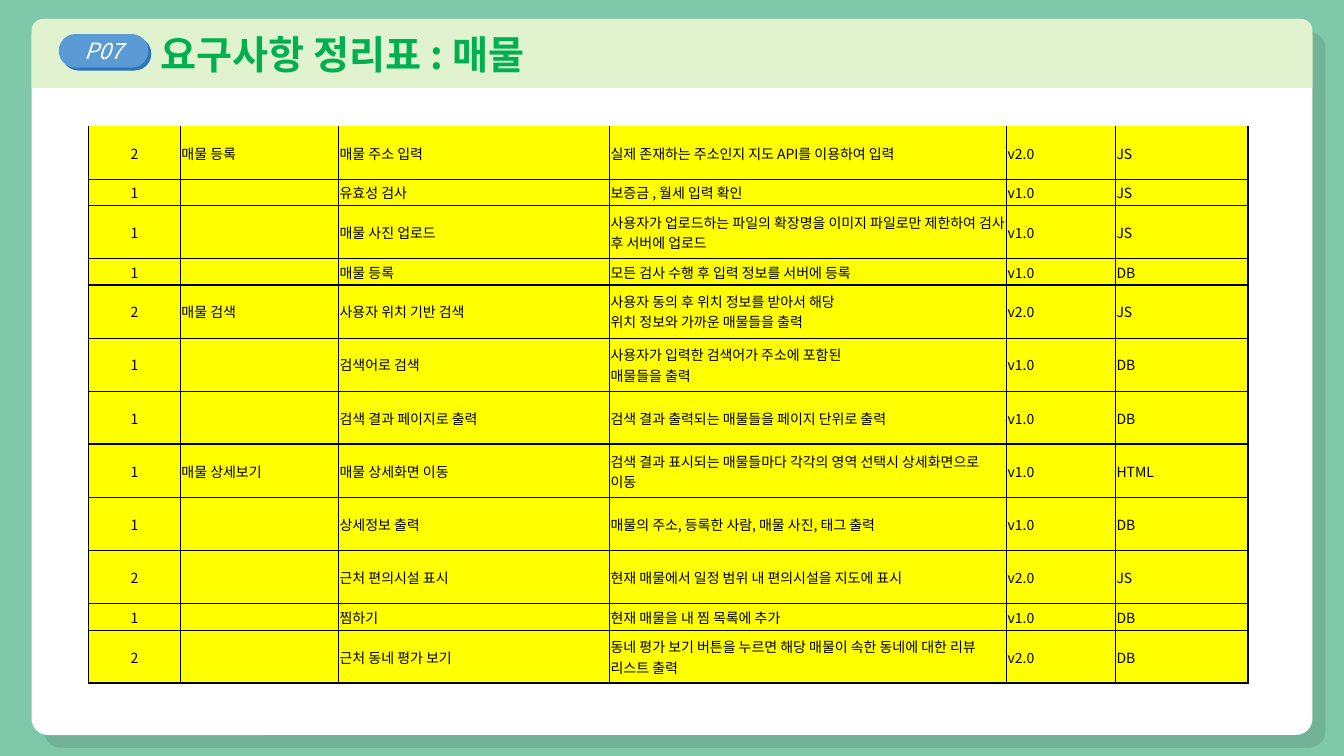
from lxml import etree
from pptx import Presentation
from pptx.dml.color import RGBColor
from pptx.enum.shapes import MSO_SHAPE
from pptx.enum.text import MSO_ANCHOR, MSO_AUTO_SIZE, PP_ALIGN
from pptx.oxml.ns import qn
from pptx.util import Pt

ROUNDED, ROUNDED_TOP = MSO_SHAPE.ROUNDED_RECTANGLE, MSO_SHAPE.ROUND_2_SAME_RECTANGLE
MIDDLE = MSO_ANCHOR.MIDDLE
NO_AUTOFIT = MSO_AUTO_SIZE.NONE
LEFT, CENTER = PP_ALIGN.LEFT, PP_ALIGN.CENTER

FONT = "Noto Sans CJK KR"
BLACK, WHITE, YELLOW = "000000", "FFFFFF", "FFFF00"
THIN, MEDIUM, THICK = 0.5, 1, 1.5

COLUMN_WIDTHS = [65.6, 113, 193.6, 283.6, 77.8, 94.4]
TALL, SHORT = 38, 18.7
# Each group of requirements: name, then (priority, feature, detail, version, technology, row height)
REQUIREMENT_GROUPS = [
    ("매물 등록", [
        ("2", "매물 주소 입력", "실제 존재하는 주소인지 지도 API를 이용하여 입력", "v2.0", "JS", TALL),
        ("1", "유효성 검사", "보증금 , 월세 입력 확인", "v1.0", "JS", SHORT),
        ("1", "매물 사진 업로드",
         "사용자가 업로드하는 파일의 확장명을 이미지 파일로만 제한하여 검사 후 서버에 업로드",
         "v1.0", "JS", TALL),
        ("1", "매물 등록", "모든 검사 수행 후 입력 정보를 서버에 등록", "v1.0", "DB", SHORT),
    ]),
    ("매물 검색", [
        ("2", "사용자 위치 기반 검색",
         "사용자 동의 후 위치 정보를 받아서 해당\n위치 정보와 가까운 매물들을 출력", "v2.0", "JS", TALL),
        ("1", "검색어로 검색",
         "사용자가 입력한 검색어가 주소에 포함된\n매물들을 출력", "v1.0", "DB", TALL),
        ("1", "검색 결과 페이지로 출력", "검색 결과 출력되는 매물들을 페이지 단위로 출력",
         "v1.0", "DB", TALL),
    ]),
    ("매물 상세보기", [
        ("1", "매물 상세화면 이동",
         "검색 결과 표시되는 매물들마다 각각의 영역 선택시 상세화면으로 이동",
         "v1.0", "HTML", TALL),
        ("1", "상세정보 출력", "매물의 주소, 등록한 사람, 매물 사진, 태그 출력", "v1.0", "DB", TALL),
        ("2", "근처 편의시설 표시", "현재 매물에서 일정 범위 내 편의시설을 지도에 표시",
         "v2.0", "JS", TALL),
        ("1", "찜하기", "현재 매물을 내 찜 목록에 추가", "v1.0", "DB", SHORT),
        ("2", "근처 동네 평가 보기",
         "동네 평가 보기 버튼을 누르면 해당 매물이 속한 동네에 대한 리뷰 리스트 출력",
         "v2.0", "DB", TALL),
    ]),
]


def color(value):
    return RGBColor.from_string(value)


def set_attributes(target, values):
    for name, value in values.items():
        setattr(target, name, value)


def write_text(paragraph, text, size, text_color, alignment=LEFT, **font_values):
    paragraph.text = text
    paragraph.alignment = alignment
    for run in paragraph.runs:
        set_attributes(run.font, {"size": Pt(size), "name": FONT, **font_values})
        run.font.color.rgb = color(text_color)
        etree.SubElement(run.font._element, qn("a:ea"), typeface=FONT)


def add_panel(slide, kind, box, fill):
    shape = slide.shapes.add_shape(kind, *map(Pt, box))
    shape.shadow.inherit = False
    shape.fill.solid()
    shape.fill.fore_color.rgb = color(fill)
    shape.line.fill.background()
    return shape


def add_hard_shadow(shape, shadow_color, opacity, distance):
    """Cast an unblurred shadow to the lower right; opacity is in percent."""
    effects = shape.element.spPr.find(qn("a:effectLst"))
    shadow = etree.SubElement(effects, qn("a:outerShdw"), blurRad="0", dist=str(Pt(distance)),
                              dir=str(45 * 60000), algn="tl", rotWithShape="0")
    tint = etree.SubElement(shadow, qn("a:srgbClr"), val=shadow_color)
    etree.SubElement(tint, qn("a:alpha"), val=str(opacity * 1000))


def add_card(slide, box):
    card = add_panel(slide, ROUNDED, box, WHITE)
    card.adjustments[0] = 0.023
    add_hard_shadow(card, BLACK, 10, 13)


def add_header(slide, box, title_text, badge_text):
    left, top, width, height = box
    band = add_panel(slide, ROUNDED_TOP, box, "E1F2CE")

    title = slide.shapes.title
    band.element.addnext(title.element)
    set_attributes(title, dict(zip(("left", "top", "width", "height"), map(Pt, box))))
    set_attributes(title.text_frame, {
        "margin_left": Pt(92.2), "margin_top": 0, "margin_bottom": 0,
        "vertical_anchor": MIDDLE, "word_wrap": True, "auto_size": NO_AUTOFIT})
    write_text(title.text_frame.paragraphs[0], title_text, 28, "00B050", bold=True)

    badge = add_panel(slide, ROUNDED, (left + 19.5, top + 10.8, 64, 24), "5B9BD5")
    badge.adjustments[0] = 0.5
    add_hard_shadow(badge, "2E75B6", 100, 3)
    set_attributes(badge.text_frame, {
        "margin_top": 0, "margin_bottom": 0, "vertical_anchor": MIDDLE})
    write_text(badge.text_frame.paragraphs[0], badge_text, 16, WHITE, CENTER, italic=True)


def set_borders(cell, widths):
    """Draw the sides L, R, T and B with the given widths; a width of 0 hides a side."""
    properties = cell._tc.get_or_add_tcPr()
    for side, width in widths.items():
        line = etree.SubElement(properties, qn(f"a:ln{side}"), w=str(Pt(width)))
        if width:
            fill = etree.SubElement(line, qn("a:solidFill"))
            etree.SubElement(fill, qn("a:srgbClr"), val=BLACK)
        else:
            etree.SubElement(line, qn("a:noFill"))


def fill_cell(cell, text, alignment, borders):
    set_attributes(cell, {
        "margin_left": Pt(0.75), "margin_right": Pt(0.75), "margin_top": Pt(0.75),
        "margin_bottom": 0, "vertical_anchor": MIDDLE})
    set_borders(cell, borders)
    cell.fill.solid()
    cell.fill.fore_color.rgb = color(YELLOW)
    paragraph = cell.text_frame.paragraphs[0]
    if text:
        write_text(paragraph, text, 10, BLACK, alignment)
    else:
        etree.SubElement(paragraph._p, qn("a:endParaRPr"), sz="1000")


def add_requirements_table(slide, left, top):
    rows, group_ends = [], []
    for group_name, requirements in REQUIREMENT_GROUPS:
        for index, (priority, *details, height) in enumerate(requirements):
            rows.append(((priority, "" if index else group_name, *details), height))
        group_ends.append(len(rows) - 1)

    total_height = sum(height for _, height in rows)
    frame = slide.shapes.add_table(len(rows), len(COLUMN_WIDTHS), Pt(left), Pt(top),
                                   Pt(sum(COLUMN_WIDTHS)), Pt(total_height))
    table = frame.table
    set_attributes(table, {"first_row": False, "horz_banding": False})
    for column, width in zip(table.columns, COLUMN_WIDTHS):
        column.width = Pt(width)

    last_column = len(COLUMN_WIDTHS) - 1
    for row_index, (texts, height) in enumerate(rows):
        table.rows[row_index].height = Pt(height)
        upper = THICK if row_index - 1 in group_ends else THIN
        for column_index, text in enumerate(texts):
            borders = {
                "L": THIN if column_index else MEDIUM,
                "R": THICK if column_index == last_column else THIN,
                "T": upper if row_index else 0,
                "B": THICK if row_index in group_ends else THIN,
            }
            fill_cell(table.cell(row_index, column_index), text,
                      LEFT if column_index else CENTER, borders)


def main():
    presentation = Presentation()
    set_attributes(presentation, {"slide_width": Pt(960), "slide_height": Pt(540)})
    slide = presentation.slides.add_slide(presentation.slide_layouts[5])
    slide.background.fill.solid()
    slide.background.fill.fore_color.rgb = color("7FC8AA")

    left, top, width = 22.5, 13.5, 915
    add_card(slide, (left, top, width, 511.5))
    add_header(slide, (left, top, width, 49.5), "요구사항 정리표 : 매물", "P07")
    add_requirements_table(slide, left + 40.8, top + 76.5)
    presentation.save("out.pptx")


if __name__ == "__main__":
    main()
